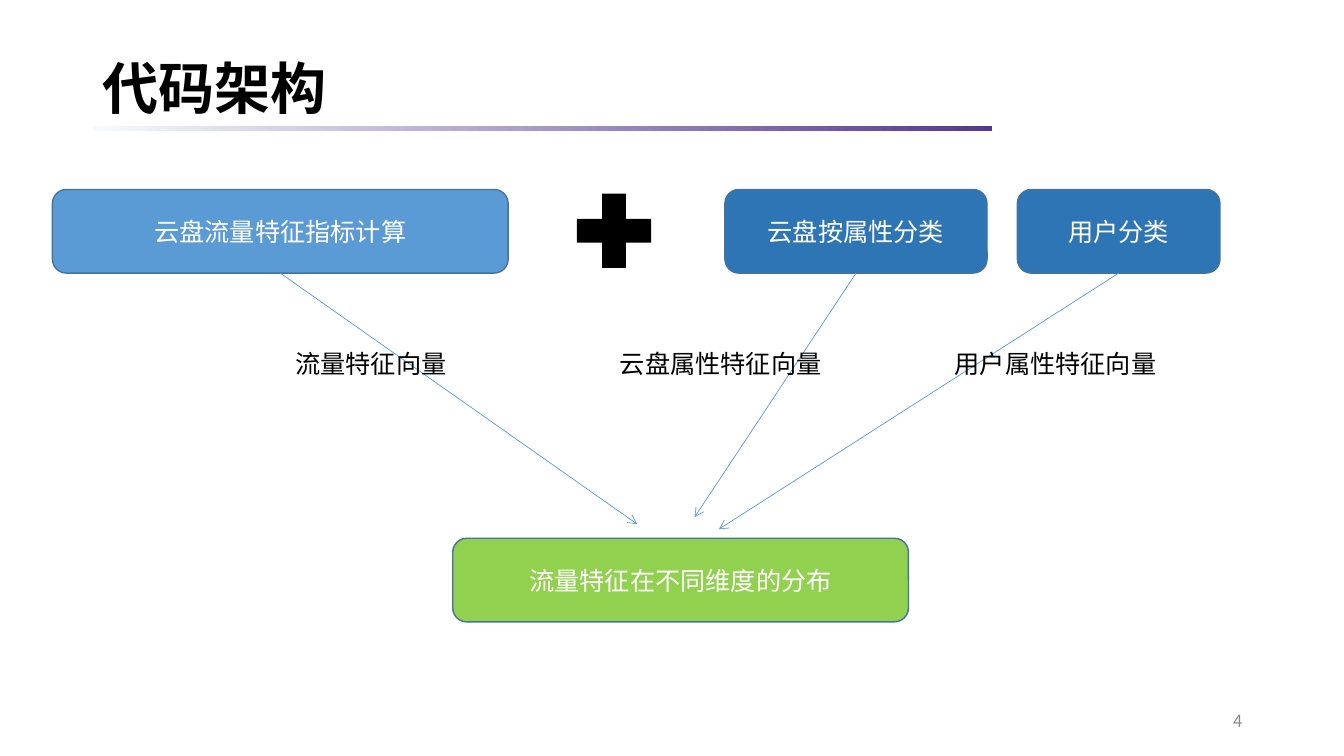
from dataclasses import dataclass

from lxml import etree
from pptx import Presentation
from pptx import util as u
from pptx.dml.color import RGBColor
from pptx.enum import shapes, text
from pptx.oxml.ns import qn

PX = 9144


@dataclass(frozen=True)
class Theme:
    latin: str = "Arial"
    cjk: str = "Noto Sans CJK SC"
    title_size: int = 40
    body_size: int = 18
    number_size: int = 12
    black: str = "000000"
    white: str = "FFFFFF"
    grey: str = "8C8C8C"
    light_blue: str = "5B9BD5"
    blue: str = "2E75B6"
    green: str = "92D050"
    outline: str = "43739E"
    rule_start: str = "F7FAFD"
    rule_end: str = "543795"


THEME = Theme()
ALIGN = text.PP_ALIGN
SHAPE = shapes.MSO_SHAPE


def rgb(value):
    return RGBColor.from_string(value)


def emu(box):
    return [px * PX for px in box]


def write(sp, words, size, color, align=ALIGN.LEFT, anchor=text.MSO_ANCHOR.MIDDLE,
          font=THEME.cjk, bold=False):
    tf = sp.text_frame
    tf.word_wrap = True
    tf.vertical_anchor = anchor
    p = tf.paragraphs[0]
    p.text = words
    p.alignment = align
    p.font.size = u.Pt(size)
    p.font.bold = bold
    p.font.color.rgb = rgb(color)
    p.font.name = font
    props = p._p.pPr.find(qn("a:defRPr"))
    etree.SubElement(props, qn("a:ea"), typeface=THEME.cjk)
    return p


def add_solid(slide, kind, box, fill):
    sp = slide.shapes.add_shape(kind, *emu(box))
    sp.shadow.inherit = False
    sp.fill.solid()
    sp.fill.fore_color.rgb = rgb(fill)
    sp.line.fill.background()
    return sp


def add_heading(slide, box, words):
    left, top, width, height = box
    rule = add_solid(slide, SHAPE.RECTANGLE, (left, top + 107, 892, 5), THEME.rule_end)
    rule.fill.gradient()
    rule.fill.gradient_angle = 0
    for stop, color in zip(rule.fill.gradient_stops, (THEME.rule_start, THEME.rule_end)):
        stop.color.rgb = rgb(color)
    title = slide.shapes.add_textbox(*emu(box))
    p = write(title, words, THEME.title_size, THEME.black, font=THEME.latin, bold=True)
    p.line_spacing = 0.9


def add_page_number(slide, box, number):
    sp = slide.shapes.add_textbox(*emu(box))
    write(sp, number, THEME.number_size, THEME.grey, ALIGN.RIGHT)


def add_module(slide, box, words, fill):
    sp = add_solid(slide, SHAPE.ROUNDED_RECTANGLE, box, fill)
    sp.line.color.rgb = rgb(THEME.outline)
    sp.line.width = u.Pt(1)
    write(sp, words, THEME.body_size, THEME.white, ALIGN.CENTER)
    return sp


def add_arrow(slide, source, tip):
    x, y = emu(tip)
    line = slide.shapes.add_connector(shapes.MSO_CONNECTOR.STRAIGHT, x, y, x, y)
    line.begin_connect(source, 2)
    line.end_x, line.end_y = x, y
    line.line.color.rgb = rgb(THEME.light_blue)
    line.line.width = u.Pt(0.5)
    etree.SubElement(line.line._get_or_add_ln(), qn("a:tailEnd"), type="arrow")
    etree.SubElement(line._element.spPr, qn("a:effectLst"))


def add_label(slide, box, words):
    sp = slide.shapes.add_textbox(*emu(box))
    write(sp, words, THEME.body_size, THEME.black, anchor=text.MSO_ANCHOR.TOP)


def add_architecture(slide, box):
    left, top, width, height = box
    module_height = 83
    inputs = [
        (0, 452, "云盘流量特征指标计算", THEME.light_blue, (580, 332),
         231, 186, "流量特征向量"),
        (667, 260, "云盘按属性分类", THEME.blue, (637, 325),
         553, 244, "云盘属性特征向量"),
        (957, 201, "用户分类", THEME.blue, (661, 337),
         885, 244, "用户属性特征向量"),
    ]
    add_module(slide, (left + 397, top + height - module_height, 452, module_height),
               "流量特征在不同维度的分布", THEME.green)
    for x, w, name, fill, (tip_x, tip_y), label_x, label_w, vector in inputs:
        module = add_module(slide, (left + x, top, w, module_height), name, fill)
        add_arrow(slide, module, (left + tip_x, top + tip_y))
        add_label(slide, (left + label_x, top + 153, label_w, 40), vector)
    add_solid(slide, SHAPE.MATH_PLUS, (left + 507, top - 9, 100, 100), THEME.black)


def main():
    prs = Presentation()
    prs.slide_width, prs.slide_height = emu((1333, 750))
    slide = prs.slides.add_slide(prs.slide_layouts[6])
    add_heading(slide, (92, 18, 1150, 145), "代码架构")
    add_page_number(slide, (942, 695, 300, 40), "4")
    add_architecture(slide, (52, 188, 1158, 429))
    prs.save("out.pptx")


if __name__ == "__main__":
    main()
